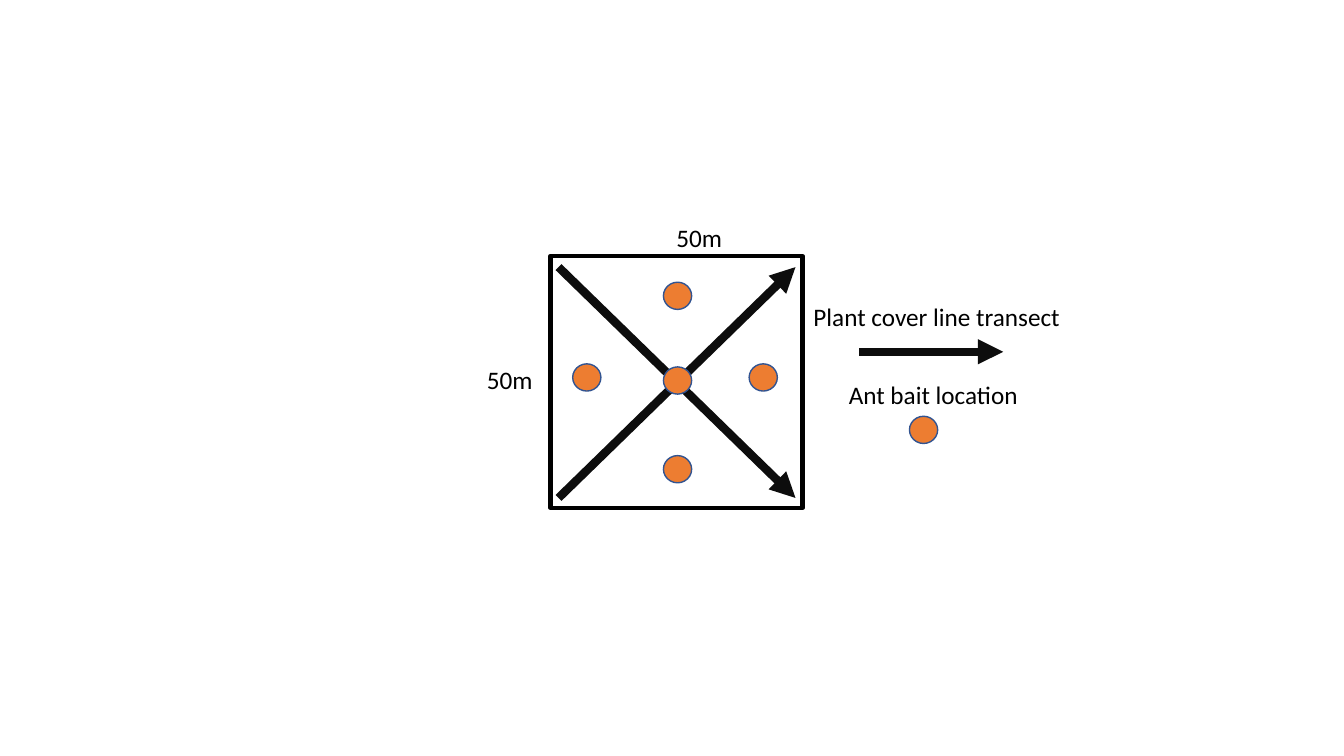
from lxml import etree
from pptx import Presentation
from pptx.dml.color import RGBColor
from pptx.enum.shapes import MSO_CONNECTOR, MSO_SHAPE
from pptx.enum.text import MSO_AUTO_SIZE
from pptx.oxml.ns import qn
from pptx.util import Inches, Pt

STRAIGHT = MSO_CONNECTOR.STRAIGHT
RECTANGLE = MSO_SHAPE.RECTANGLE
OVAL = MSO_SHAPE.OVAL
FIT_SHAPE = MSO_AUTO_SIZE.SHAPE_TO_FIT_TEXT

BLANK_LAYOUT = 6
FONT = "Calibri"
COLORS = {
    "text": "000000",
    "plot_border": "000000",
    "transect": "0D0D0D",
    "bait": "ED7D31",
    "bait_border": "325491",
}
BAIT_WIDTH, BAIT_HEIGHT = 0.28, 0.27
LABEL_HEIGHT = 0.4


def color(name):
    """Return the named colour."""
    return RGBColor.from_string(COLORS[name])


def set_line(line, name, width):
    """Give a line its colour and its width in points."""
    line.color.rgb = color(name)
    line.width = Pt(width)


def add_label(slide, text, left, top, width):
    """Add a one-line text label."""
    box = slide.shapes.add_textbox(
        Inches(left), Inches(top), Inches(width), Inches(LABEL_HEIGHT))
    frame = box.text_frame
    frame.word_wrap = True
    frame.auto_size = FIT_SHAPE
    run = frame.paragraphs[0].add_run()
    run.text = text
    run.font.name = FONT
    run.font.size = Pt(18)
    run.font.color.rgb = color("text")


def add_transect(slide, start, end):
    """Add a thick arrow from start to end."""
    arrow = slide.shapes.add_connector(
        STRAIGHT, *(Inches(value) for value in (*start, *end)))
    set_line(arrow.line, "transect", 6)
    etree.SubElement(arrow.line._get_or_add_ln(), qn("a:tailEnd"), type="triangle")
    etree.SubElement(arrow._element.spPr, qn("a:effectLst"))


def add_bait(slide, left, top):
    """Add a bait marker."""
    bait = slide.shapes.add_shape(
        OVAL, Inches(left), Inches(top), Inches(BAIT_WIDTH), Inches(BAIT_HEIGHT))
    bait.shadow.inherit = False
    bait.fill.solid()
    bait.fill.fore_color.rgb = color("bait")
    set_line(bait.line, "bait_border", 1)


def add_plot(slide, left, top, size):
    """Draw the square plot with its transects, baits and side lengths."""
    square = slide.shapes.add_shape(
        RECTANGLE, Inches(left), Inches(top), Inches(size), Inches(size))
    square.shadow.inherit = False
    square.fill.background()
    set_line(square.line, "plot_border", 3)

    start_x, end_x = left + 0.08, left + size - 0.07
    upper_y, lower_y = top + 0.11, top + size - 0.1
    add_transect(slide, (start_x, lower_y), (end_x, upper_y))
    add_transect(slide, (start_x, upper_y), (end_x, lower_y))

    bait_offsets = [(1.12, 1.1), (0.22, 1.07), (1.97, 1.07), (1.12, 1.98), (1.12, 0.26)]
    for offset_x, offset_y in bait_offsets:
        add_bait(slide, left + offset_x, top + offset_y)

    for offset_x, offset_y in [(1.15, -0.38), (-0.73, 1.03)]:
        add_label(slide, "50m", left + offset_x, top + offset_y, 0.81)


def add_legend(slide, left, top, width):
    """Explain the transect arrow and the bait marker."""
    add_label(slide, "Plant cover line transect", left, top, width)
    arrow_y = top + 0.55
    add_transect(slide, (left + 0.55, arrow_y), (left + 1.98, arrow_y))
    add_label(slide, "Ant bait location", left + 0.35, top + 0.77, 1.9)
    add_bait(slide, left + 1.05, top + 1.19)


def main():
    """Build and save the slide."""
    presentation = Presentation()
    presentation.slide_width = Inches(13.33)
    presentation.slide_height = Inches(7.5)
    slide = presentation.slides.add_slide(presentation.slide_layouts[BLANK_LAYOUT])
    add_plot(slide, 5.46, 2.54, 2.5)
    add_legend(slide, 7.97, 2.94, 2.86)
    presentation.save("out.pptx")


main()
